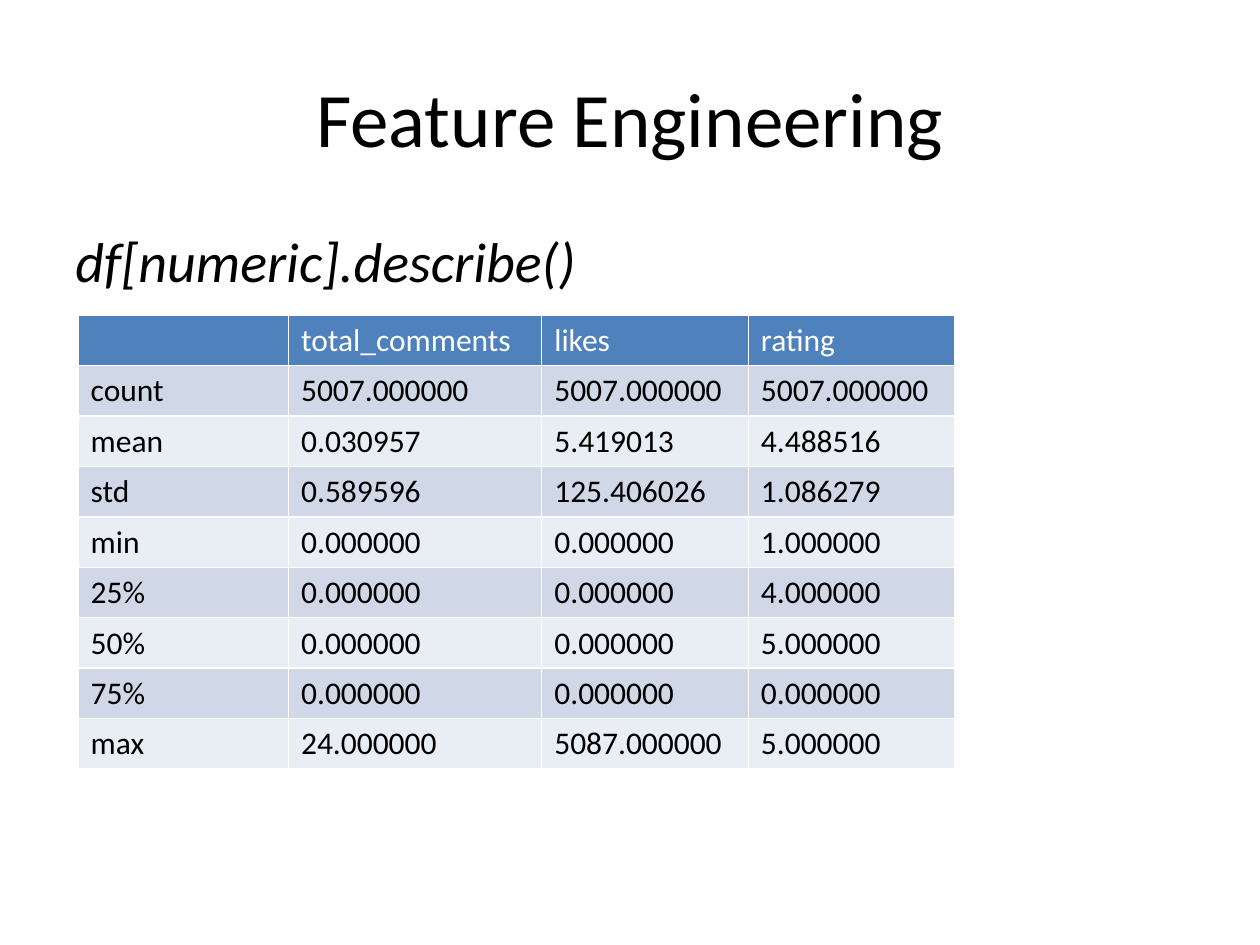
from pptx import Presentation
from pptx.dml.color import RGBColor
from pptx.enum.text import MSO_ANCHOR, PP_ALIGN
from pptx.util import Inches, Pt

BLACK = RGBColor(0x00, 0x00, 0x00)
WHITE = RGBColor(0xFF, 0xFF, 0xFF)
BLUE = RGBColor(0x4F, 0x81, 0xBD)
BANDS = [RGBColor(0xE9, 0xED, 0xF4), RGBColor(0xD0, 0xD8, 0xE8)]
FONT = "Calibri"

TITLE = "Feature Engineering"
CODE = "df[numeric].describe()"
STATS = [
    ("", "total_comments", "likes", "rating"),
    ("count", "5007.000000", "5007.000000", "5007.000000"),
    ("mean", "0.030957", "5.419013", "4.488516"),
    ("std", "0.589596", "125.406026", "1.086279"),
    ("min", "0.000000", "0.000000", "1.000000"),
    ("25%", "0.000000", "0.000000", "4.000000"),
    ("50%", "0.000000", "0.000000", "5.000000"),
    ("75%", "0.000000", "0.000000", "0.000000"),
    ("max", "24.000000", "5087.000000", "5.000000"),
]
WIDTHS = [1.67, 2.01, 1.64, 1.64]
ROW = 0.4


def style(frame, text, size, color, italic=False):
    frame.text = text
    font = frame.paragraphs[0].font
    for run in frame.paragraphs[0].runs:
        font = run.font
    font.name = FONT
    font.size = Pt(size)
    font.color.rgb = color
    font.bold = False
    font.italic = italic


def add_text(slide, box, text, size, italic=False):
    frame = slide.shapes.add_textbox(*map(Inches, box)).text_frame
    frame.word_wrap = True
    style(frame, text, size, BLACK, italic)
    return frame


deck = Presentation()
deck.slide_width, deck.slide_height = Inches(10), Inches(7.5)
slide = deck.slides.add_slide(deck.slide_layouts[6])

title = add_text(slide, (0.5, 0.3, 9, 1.25), TITLE, 44)
title.vertical_anchor = MSO_ANCHOR.MIDDLE
title.paragraphs[0].alignment = PP_ALIGN.CENTER
add_text(slide, (0.5, 1.75, 9, 4.95), CODE, 32, italic=True)

table = slide.shapes.add_table(
    len(STATS), len(WIDTHS), Inches(0.62), Inches(2.5),
    Inches(sum(WIDTHS)), Inches(ROW * len(STATS))).table
for column, width in zip(table.columns, WIDTHS):
    column.width = Inches(width)
for r, values in enumerate(STATS):
    table.rows[r].height = Inches(ROW)
    for c, value in enumerate(values):
        cell = table.cell(r, c)
        cell.fill.solid()
        cell.fill.fore_color.rgb = BANDS[r % 2] if r else BLUE
        style(cell.text_frame, value, 18, BLACK if r else WHITE)

deck.save("out.pptx")
